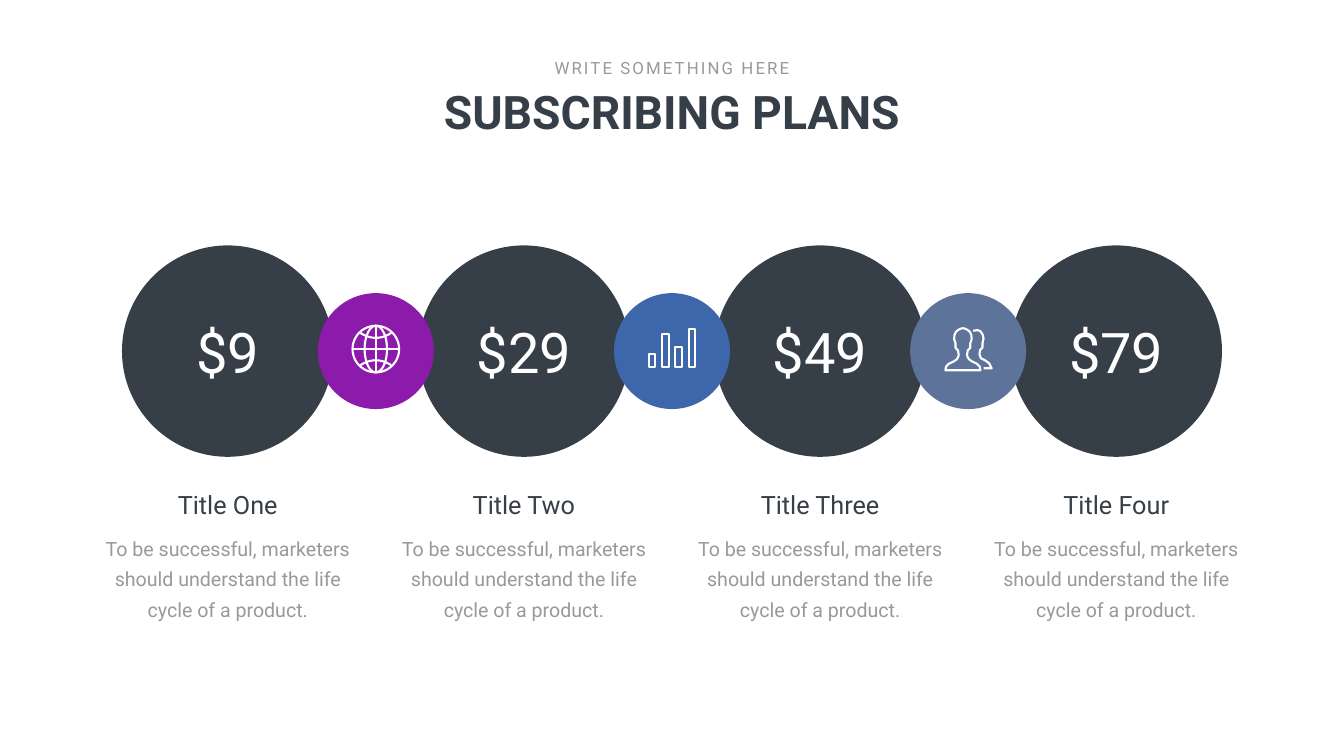
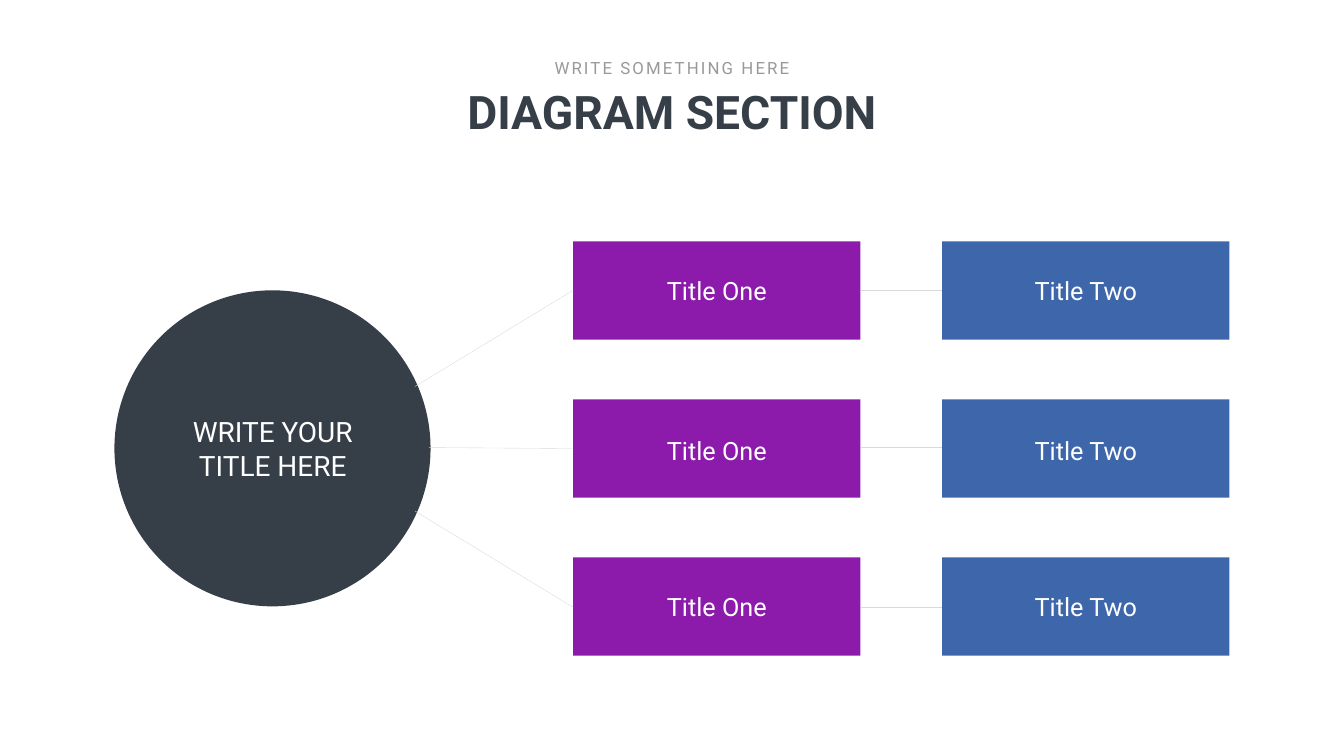
from dataclasses import dataclass
from math import cos, pi, sin

from lxml.etree import SubElement
from pptx import Presentation
from pptx.dml.color import RGBColor
from pptx.enum.shapes import MSO_CONNECTOR as Conn, MSO_SHAPE as Form
from pptx.enum.text import MSO_ANCHOR as Anchor, MSO_AUTO_SIZE as Fit, PP_ALIGN as Align
from pptx.oxml.ns import qn
from pptx.util import Pt


@dataclass(frozen=True)
class Theme:
    font: str = "Roboto"
    dark: str = "363E48"
    gray: str = "999999"
    rule: str = "D9D9D9"
    white: str = "FFFFFF"
    purple: str = "8C1BAB"
    blue: str = "3D67AA"
    slate: str = "5D739A"
    title: int = 66
    kicker: int = 24
    body: int = 28
    label: int = 36
    hub: int = 40
    price: int = 80


T = Theme()
WIDE, HIGH = 1919.5, 1080
MID = WIDE / 2

KICKER = "WRITE SOMETHING HERE"
NOTE = "To be successful, marketers should understand the life cycle of a product."
PLANS = [
    ("$9", "Title One", 105),
    ("$29", "Title Two", 151),
    ("$49", "Title Three", 151),
    ("$79", "Title Four", 151),
]
HUB = "WRITE YOUR TITLE HERE"
PAIR = [("Title One", T.purple), ("Title Two", T.blue)]
# Each row: label top, link height, ray start on the hub, ray end on the box
ROWS = [
    (389.5, 414.7, (592.6, 552.2), 414.7),
    (617.8, 639.4, (612.7, 639.4), 640.8),
    (841, 867.6, (592.6, 730), 867.6),
]

# Icon strokes, in points from the centre of the badge
BARS = [19.5, 47.5, 28.5, 54]
HALF = [(-25, 27.4), (-24, 22), (-20, 18), (-13.5, 15), (-9, 12), (-6.5, 8),
        (-6, 5), (-7, -1), (-10.5, -4.7), (-10.5, -11), (-12.5, -17),
        (-12, -23), (-10, -27.5), (-7, -30), (-3.5, -32), (0, -32.7)]
BACK = [(7.2, -29), (13, -30), (17.5, -28.5), (21, -23), (22, -18),
        (20.5, -11.5), (20.5, -5), (17, -1.5), (16.2, 4.3), (18, 10),
        (24, 13), (30, 17.5), (33.5, 24.5), (22, 24.5)]


def ring(wide, high, steps=48):
    turns = [2 * pi * i / steps for i in range(steps + 1)]
    return [(wide * cos(a), high * sin(a)) for a in turns]


def globe():
    curve = [(x, -16 - 7 * (x / 22) ** 2) for x in range(-22, 23, 4)]
    flip = [(x, -y) for x, y in curve]
    parts = [ring(33.3, 33.3), ring(16, 33.3), [(0, -33.3), (0, 33.3)],
             [(-33.3, 0), (33.3, 0)], curve, flip]
    return [[(x, y - 2.9) for x, y in part] for part in parts]


def bars():
    base, size, step = 23, 9.6, 19
    parts = []
    for i, tall in enumerate(BARS):
        x = i * step - 33.3
        parts.append([(x, base), (x, base - tall), (x + size, base - tall),
                      (x + size, base), (x, base)])
    return parts


def people():
    front = HALF + [(-x, y) for x, y in HALF[-2::-1]] + HALF[:1]
    return [[(x - 7.5, y) for x, y in front], BACK]


BADGES = [(T.purple, globe), (T.blue, bars), (T.slate, people)]


def rgb(code):
    return RGBColor.from_string(code)


def write(shape, text, size, color, bold=False, wrap=True, lead=None):
    frame = shape.text_frame
    frame.word_wrap = wrap
    frame.auto_size = Fit.SHAPE_TO_FIT_TEXT
    frame.vertical_anchor = Anchor.TOP
    para = frame.paragraphs[0]
    para.text = text
    para.alignment = Align.CENTER
    if lead:
        para.line_spacing = Pt(lead)
    font = para.font
    font.name, font.size, font.bold = T.font, Pt(size), bold
    font.color.rgb = rgb(color)
    return para


def put(slide, box, text, size, color, **more):
    """Add a text box at (left, top, width, height)."""
    return write(slide.shapes.add_textbox(*map(Pt, box)), text, size, color, **more)


def solid(slide, form, box, color):
    shape = slide.shapes.add_shape(form, *map(Pt, box))
    shape.shadow.inherit = False
    shape.fill.solid()
    shape.fill.fore_color.rgb = rgb(color)
    shape.line.fill.background()


def disc(slide, x, y, size, color):
    solid(slide, Form.OVAL, (x - size / 2, y - size / 2, size, size), color)


def link(slide, start, end):
    line = slide.shapes.add_connector(Conn.STRAIGHT, *map(Pt, (*start, *end)))
    line.line.color.rgb = rgb(T.rule)
    line.line.width = Pt(0.5)
    SubElement(line.element.spPr, qn("a:effectLst"))


def icon(slide, x, y, parts):
    """Draw all strokes of an icon as one white outline around (x, y)."""
    pen = None
    for part in parts:
        first, *rest = [(Pt(x + dx), Pt(y + dy)) for dx, dy in part]
        if pen is None:
            pen = slide.shapes.build_freeform(*first)
        else:
            pen.move_to(*first)
        pen.add_line_segments(rest, close=False)
    shape = pen.convert_to_shape()
    shape.shadow.inherit = False
    shape.fill.background()
    shape.line.color.rgb = rgb(T.white)
    shape.line.width = Pt(3)


def start(deck, title):
    """Add a slide with the shared heading."""
    slide = deck.slides.add_slide(deck.slide_layouts[5])
    head = slide.shapes.title
    head.left, head.top, head.width, head.height = map(Pt, (MID - 412, 116, 824, 87))
    write(head, title, T.title, T.dark, bold=True)
    para = put(slide, (MID - 180, 79, 360, 36), KICKER, T.kicker, T.gray, wrap=False)
    para.runs[0]._r.get_or_add_rPr().set("spc", "300")
    return slide


def plans(deck):
    slide = start(deck, "SUBSCRIBING PLANS")
    step, size, y = 423, 302, 501.6
    mids = [MID + (i - (len(PLANS) - 1) / 2) * step for i in range(len(PLANS))]
    for x, (_, name, _) in zip(mids, PLANS):
        put(slide, (x - 197.5, 754.5, 395, 134), NOTE, T.body, T.gray, lead=43)
        put(slide, (x - size / 2, 696, size, 51), name, T.label, T.dark)
    for x in mids:
        disc(slide, x, y, size, T.dark)
    for x, (color, draw) in zip(mids, BADGES):
        disc(slide, x + step / 2, y, 165.6, color)
        icon(slide, x + step / 2, y, draw())
    for x, (cost, _, wide) in zip(mids, PLANS):
        put(slide, (x - wide / 2, 450, wide, 104.5), cost, T.price, T.white, wrap=False)


def diagram(deck):
    slide = start(deck, "DIAGRAM SECTION")
    disc(slide, 389.2, 640.5, 451.5, T.dark)
    put(slide, (231, 589, 317, 104.5), HUB, T.hub, T.white)
    left, top, wide, high = 818.6, 344.9, 410.4, 140.4
    across, down = 527, 225.7
    for i, (text_y, _, _, _) in enumerate(ROWS):
        for j, (name, color) in enumerate(PAIR):
            x = left + j * across
            solid(slide, Form.RECTANGLE, (x, top + i * down, wide, high), color)
            put(slide, (x + 54, text_y, wide - 108, 51), name, T.label, T.white)
    for _, y, hub, end in ROWS:
        link(slide, (left + wide, y), (left + across, y))
        link(slide, (left, end), hub)


def main():
    deck = Presentation()
    deck.slide_width, deck.slide_height = Pt(WIDE), Pt(HIGH)
    plans(deck)
    diagram(deck)
    deck.save("out.pptx")


if __name__ == "__main__":
    main()
